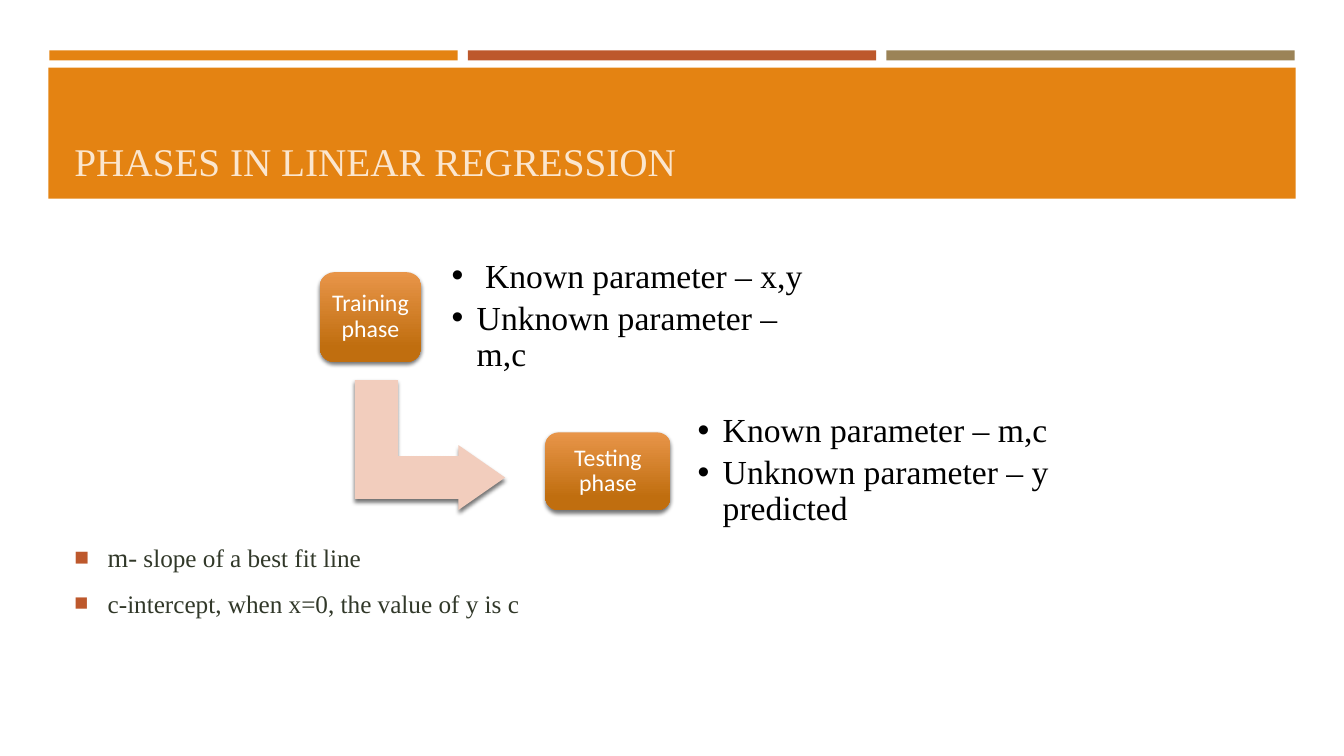
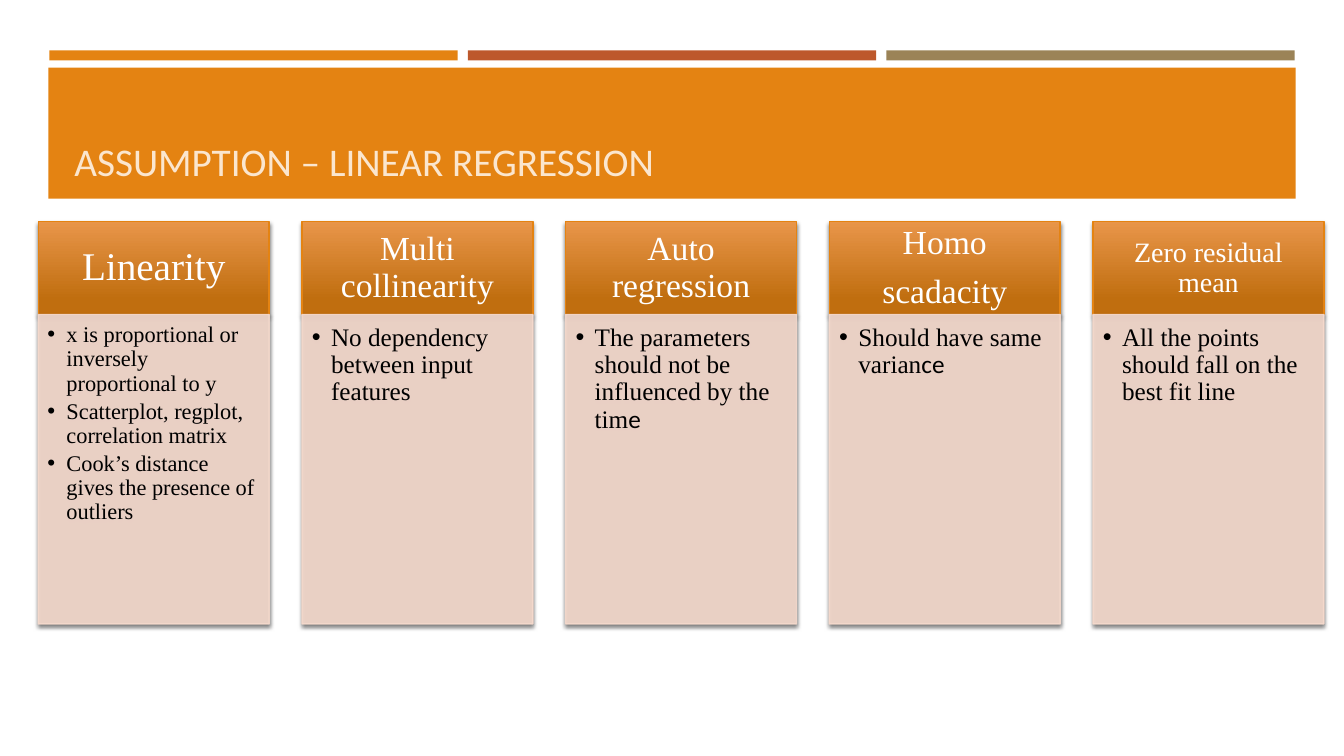
from dataclasses import dataclass

from lxml import etree
from pptx import Presentation
from pptx.dml.color import RGBColor
from pptx.enum.shapes import MSO_SHAPE
from pptx.enum.text import MSO_ANCHOR, PP_ALIGN
from pptx.oxml.ns import qn
from pptx.util import Inches, Pt

RECT, ROUND, BENT = MSO_SHAPE.RECTANGLE, MSO_SHAPE.ROUNDED_RECTANGLE, MSO_SHAPE.BENT_UP_ARROW
TOP, MIDDLE, BOTTOM = MSO_ANCHOR.TOP, MSO_ANCHOR.MIDDLE, MSO_ANCHOR.BOTTOM
LEFT, CENTER = PP_ALIGN.LEFT, PP_ALIGN.CENTER


@dataclass(frozen=True)
class Theme:
    orange: str = "E48312"
    rust: str = "BD582C"
    olive: str = "9B8357"
    title_text: str = "FBE6CE"
    body_text: str = "313829"
    light: str = "FFFFFF"
    dark: str = "000000"
    arrow: str = "F2CDBD"
    panel: str = "F5D9CC"
    gradient: tuple = ((0, "E89549"), (0.84, "C06E0F"))
    serif: str = "Times New Roman"
    sans: str = "Calibri"
    title_size: int = 28
    phase_size: int = 17
    detail_size: int = 24
    note_size: int = 18


T = Theme()
W, H = 13.33, 7.5

PHASES = {
    "title": ("PHASES IN LINEAR REGRESSION", T.serif),
    "steps": [
        {"name": "Training phase", "box": (3.17, 2.7, 1.01, 0.89),
         "detail": (4.38, 2.76, 3.88, 0.76),
         "points": [" Known parameter – x,y", "Unknown parameter – m,c"]},
        {"name": "Testing phase", "box": (5.41, 4.29, 1.24, 0.77),
         "detail": (6.82, 4.21, 3.73, 0.92),
         "points": ["Known parameter – m,c", "Unknown parameter – y predicted"]},
    ],
    "arrow": (3.62, 3.67, 1.29, 1.49),
    "notes": [[("m-", {"size": 19}), " slope of a best fit line"],
              "c-intercept, when x=0, the value of y is c"],
}

SANS = {"name": T.sans}
ASSUMPTIONS = {
    "title": ("ASSUMPTION – LINEAR REGRESSION", T.sans),
    "columns": [
        (["Linearity"], 28, 16,
         ["x is proportional or inversely proportional to y",
          "Scatterplot, regplot, correlation matrix",
          "Cook’s distance gives the presence of outliers"]),
        (["Multi collinearity"], 24, 18, ["No dependency between input features"]),
        (["Auto regression"], 24, 18,
         [["The parameters should not be influenced by the tim", ("e", SANS)]]),
        (["Homo", "scadacity"], 24, 18, [["Should have same varian", ("ce", SANS)]]),
        (["Zero residual mean"], 20, 18, ["All the points should fall on the best fit line"]),
    ],
}


def child(parent, tag, **attrs):
    return etree.SubElement(parent, qn(tag), {k: str(v) for k, v in attrs.items()})


def inches(box):
    return [Inches(v) for v in box]


def set_alpha(fill_element, percent):
    child(fill_element.find(".//" + qn("a:srgbClr")), "a:alpha", val=percent * 1000)


def add_box(s, box, fill, kind=RECT, line=None, alpha=None, shadow=False):
    sp = s.shapes.add_shape(kind, *inches(box))
    if isinstance(fill, str):
        sp.fill.solid()
        sp.fill.fore_color.rgb = RGBColor.from_string(fill)
    else:
        sp.fill.gradient()
        sp.fill.gradient_angle = 270
        for stop, (position, color) in zip(sp.fill.gradient_stops, fill):
            stop.color.rgb = RGBColor.from_string(color)
            stop.position = position
    if line:
        sp.line.color.rgb = RGBColor.from_string(line)
        sp.line.width = Pt(1)
    else:
        sp.line.fill.background()
    props = sp.fill._xPr
    if alpha:
        set_alpha(props.find(qn("a:solidFill")), alpha)
        set_alpha(props.find(qn("a:ln")), alpha)
    sp.shadow.inherit = False
    if shadow:
        outer = child(props.find(qn("a:effectLst")), "a:outerShdw", blurRad=Pt(3),
                      dist=Pt(2), dir=5400000, algn="ctr", rotWithShape=0)
        child(child(outer, "a:srgbClr", val=T.dark), "a:alpha", val=55000)
    return sp


def add_bullet(p, char, indent, color=None, percent=None):
    pPr = p._p.get_or_add_pPr()
    pPr.set("marL", str(Inches(indent)))
    pPr.set("indent", str(-Inches(indent)))
    if color:
        child(child(pPr, "a:buClr"), "a:srgbClr", val=color)
    if percent:
        child(pPr, "a:buSzPct", val=percent * 1000)
    child(pPr, "a:buFont", typeface="Arial")
    child(pPr, "a:buChar", char=char)


def write(sp, paragraphs, size, color, font=T.serif, anchor=MIDDLE, align=LEFT,
          insets=(0.1, 0.05, 0.1, 0.05), spacing=1.0, after=0, bullet=None):
    tf = sp.text_frame
    tf.word_wrap = True
    tf.vertical_anchor = anchor
    for side, inset in zip(("left", "top", "right", "bottom"), insets):
        setattr(tf, "margin_" + side, Inches(inset))
    for i, runs in enumerate(paragraphs):
        p = tf.add_paragraph() if i else tf.paragraphs[0]
        if bullet:
            add_bullet(p, **bullet)
        for key, value in {"alignment": align, "line_spacing": spacing,
                           "space_after": Pt(after)}.items():
            setattr(p, key, value)
        for run in [runs] if isinstance(runs, str) else runs:
            text, extra = (run, {}) if isinstance(run, str) else run
            r = p.add_run()
            r.text = text
            style = {"name": font, "size": size, **extra}
            style["size"] = Pt(style["size"])
            for key, value in style.items():
                setattr(r.font, key, value)
            r.font.color.rgb = RGBColor.from_string(color)


def add_text(s, box, *args, **kwargs):
    write(s.shapes.add_textbox(*inches(box)), *args, **kwargs)


def new_slide(prs, title, font):
    s = prs.slides.add_slide(prs.slide_layouts[6])
    for i, color in enumerate((T.orange, T.rust, T.olive)):
        add_box(s, (0.49 + i * 4.15, 0.5, 4.05, 0.1), color)
    add_box(s, (0.48, 0.67, 12.37, 1.3), T.orange)
    add_text(s, (0.64, 0.77, 12.06, 1.11), [title], T.title_size, T.title_text,
             font=font, anchor=BOTTOM)
    return s


def build_phases(prs):
    s = new_slide(prs, *PHASES["title"])
    arrow = add_box(s, PHASES["arrow"], T.arrow, BENT, shadow=True)
    arrow.rotation = 90
    for i, value in enumerate((0.33, 0.25, 0.36)):
        arrow.adjustments[i] = value
    for step in PHASES["steps"]:
        sp = add_box(s, step["box"], T.gradient, ROUND, shadow=True)
        write(sp, [step["name"]], T.phase_size, T.light, font=T.sans, align=CENTER,
              insets=(0.05,) * 4, spacing=0.9, after=T.phase_size * 0.36)
        add_text(s, step["detail"], step["points"], T.detail_size, T.dark,
                 insets=(0.1,) * 4, spacing=0.9, after=T.detail_size * 0.17,
                 bullet={"char": "•", "indent": 0.25})
    add_text(s, (0.64, 5.37, 12.06, 0.9), PHASES["notes"], T.note_size, T.body_text,
             anchor=TOP, insets=(0.1, 0, 0.1, 0), after=10.5,
             bullet={"char": "■", "indent": 0.33, "color": T.rust, "percent": 92})


def build_assumptions(prs):
    s = new_slide(prs, *ASSUMPTIONS["title"])
    columns = ASSUMPTIONS["columns"]
    left, right, width = 0.38, 13.13, 2.29
    top, head, body = 2.2, 0.92, 3.07
    pitch = (right - left - width) / (len(columns) - 1)
    for i, (heading, head_size, size, points) in enumerate(columns):
        x = left + i * pitch
        sp = add_box(s, (x, top, width, head), T.gradient, line=T.orange, shadow=True)
        side, edge = head_size / 128, head_size / 225
        write(sp, heading, head_size, T.light, align=CENTER,
              insets=(side, edge, side, edge), spacing=0.9, after=head_size * 0.36)
        sp = add_box(s, (x, top + head, width, body), T.panel, line=T.panel,
                     alpha=90, shadow=True)
        write(sp, points, size, T.dark, anchor=TOP,
              insets=[size / n for n in (180, 180, 130, 113)], spacing=0.9,
              after=size * 0.17, bullet={"char": "•", "indent": 0.19})


def main():
    prs = Presentation()
    prs.slide_width, prs.slide_height = Inches(W), Inches(H)
    build_phases(prs)
    build_assumptions(prs)
    prs.save("out.pptx")


if __name__ == "__main__":
    main()
